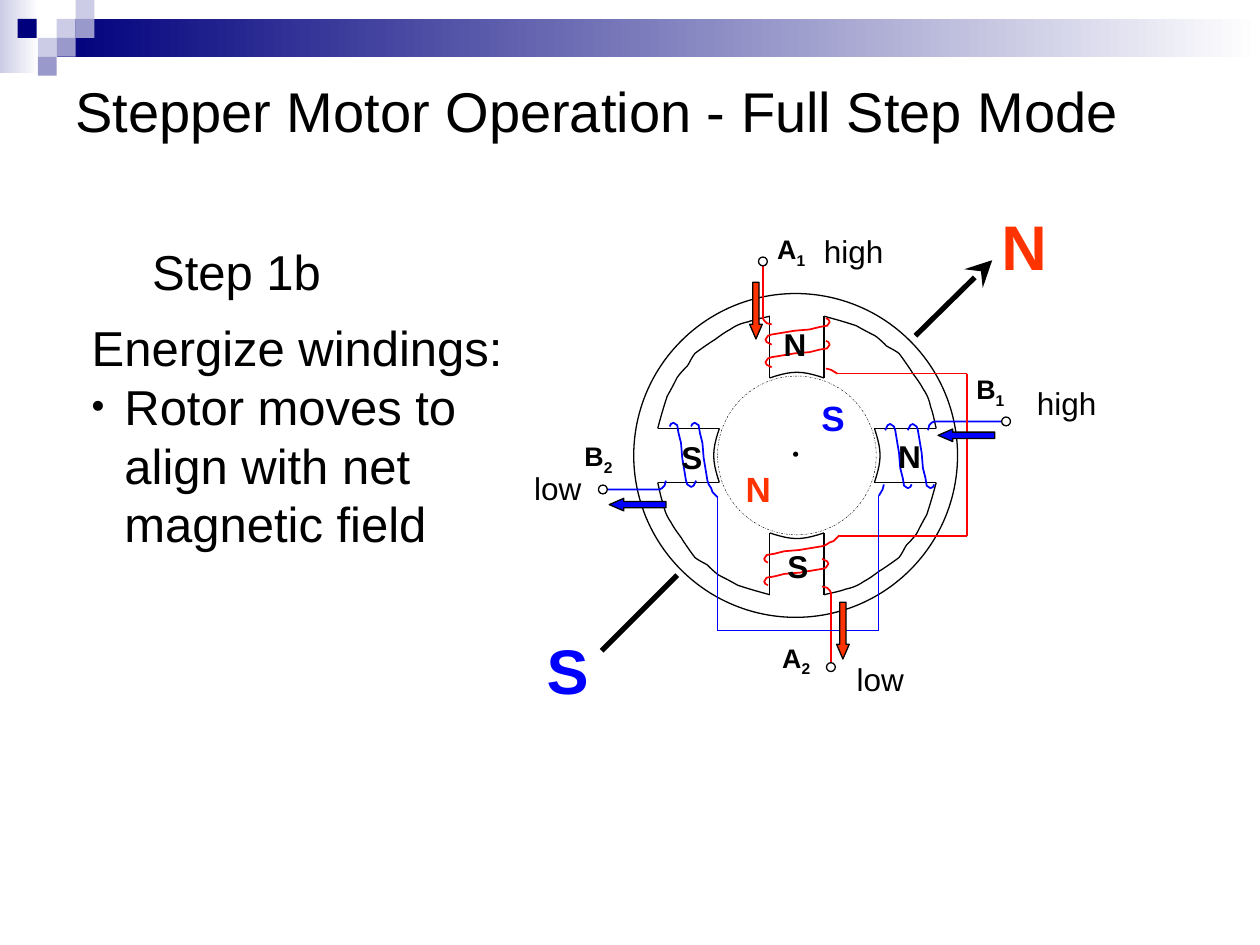
from pptx import Presentation
from pptx.dml.color import RGBColor
from pptx.enum.dml import MSO_LINE
from pptx.enum.shapes import MSO_CONNECTOR, MSO_SHAPE
from pptx.enum.text import MSO_ANCHOR, MSO_AUTO_SIZE
from pptx.oxml.ns import qn
from pptx.util import Inches, Pt
from lxml import etree

RECT, OVAL, DOWN = MSO_SHAPE.RECTANGLE, MSO_SHAPE.OVAL, MSO_SHAPE.DOWN_ARROW
STRAIGHT, DASH_DOT = MSO_CONNECTOR.STRAIGHT, MSO_LINE.DASH_DOT
MIDDLE, GROW = MSO_ANCHOR.MIDDLE, MSO_AUTO_SIZE.SHAPE_TO_FIT_TEXT

COLORS = {"black": "000000", "white": "FFFFFF", "navy": "00007D",
          "pale": "CCCCE6", "lilac": "9999CC", "blue": "0000FF",
          "red": "FF0000", "orange": "FF3300"}
COLS, ROWS = 1000, 750
CELL = Inches(10) / COLS

# Motor parts in cells from the motor centre, drawn for the top pole
HALF, OUTER, INNER = 21.5, 110.5, 61.5
POLE_FACE = [(-HALF, -INNER), (-14, -64), (-7, -66), (0, -66),
             (7, -66), (14, -64), (HALF, -INNER)]
WALL = [(HALF, -OUTER), (31, -108), (41, -105), (47, -103), (54, -99),
        (58, -97), (62, -95), (66, -92), (68, -90), (71, -87), (74, -85),
        (77, -84), (81, -81), (84, -77), (89, -70), (92, -65), (95, -61),
        (98, -57), (100, -53), (103, -49), (105, -44), (106, -39),
        (108, -34), (110, -23), (OUTER, -HALF)]
LOOP = [(0, 0), (-4, -2), (-5, -4), (-3, -7), (0, -8), (12, -10), (18, -11),
        (30, -12), (38, -14), (44, -15), (46, -18), (45, -20), (43, -21)]
LINKED_LOOP = [(-13, 0), (-9, -4), (-6, -5), (-3, -7)] + LOOP[4:]
LEAD_IN = [(-27, -109), (-26, -107), (-24, -105), (-20, -104)]
EXIT = [(23, -69), (27, -68), (32, -65)]
# Winding colour, depths of the two loops, terminal distance, for each
# quarter turn clockwise; the last two poles are fed by a link wire
POLES = [("red", (88, 70), 154), ("blue", (88, 70), 166),
         ("red", (82, 64), 168), ("blue", (80, 63), 154)]


def emu(cells):
    return round(cells * CELL)


def rgb(name):
    return RGBColor.from_string(COLORS[name])


def turn(points, quarters):
    for _ in range(quarters):
        points = [(-y, x) for x, y in points]
    return points


def shift(points, dx, dy):
    return [(x + dx, y + dy) for x, y in points]


def bezier(points, steps=5):
    """Sample a chain of cubic curves as a list of points."""
    out = [points[0]]
    for i in range(0, len(points) - 1, 3):
        for k in range(1, steps + 1):
            t = k / steps
            weights = ((1 - t) ** 3, 3 * t * (1 - t) ** 2,
                       3 * t * t * (1 - t), t ** 3)
            out.append(tuple(sum(w * p[axis] for w, p in
                                 zip(weights, points[i:i + 4]))
                             for axis in (0, 1)))
    return out


def add_shape(s, kind, box, fill=None, line=None, width=0.75):
    sp = s.shapes.add_shape(kind, *map(emu, box))
    sp.shadow.inherit = False
    if fill:
        sp.fill.solid()
        sp.fill.fore_color.rgb = rgb(fill)
    else:
        sp.fill.background()
    if line:
        sp.line.color.rgb = rgb(line)
        sp.line.width = Pt(width)
    else:
        sp.line.fill.background()
    return sp


def add_circle(s, x, y, size, **style):
    return add_shape(s, OVAL, (x - size / 2, y - size / 2, size, size), **style)


def add_line(s, start, end, color="black", width=0.75, head=None):
    cx = s.shapes.add_connector(STRAIGHT, *map(emu, start + end))
    cx.line.color.rgb = rgb(color)
    cx.line.width = Pt(width)
    if head:
        ln = cx.line._get_or_add_ln()
        etree.SubElement(ln, qn("a:tailEnd"), type=head, w="lg", len="lg")
    etree.SubElement(cx._element.spPr, qn("a:effectLst"))


def add_curve(s, points, color="black", width=0.75):
    pts = [(emu(x), emu(y)) for x, y in points]
    builder = s.shapes.build_freeform(*pts[0])
    builder.add_line_segments(pts[1:], close=False)
    sp = builder.convert_to_shape()
    sp.shadow.inherit = False
    sp.fill.background()
    sp.line.color.rgb = rgb(color)
    sp.line.width = Pt(width)


def add_text(s, box, text, size, color="black", bold=False, sub="", wrap=False):
    tb = s.shapes.add_textbox(*map(emu, box))
    tf = tb.text_frame
    tf.word_wrap = wrap
    if not wrap:
        tf.auto_size = GROW
    for i, line in enumerate(text.split("\n")):
        p = tf.paragraphs[0] if i == 0 else tf.add_paragraph()
        for part in filter(None, (line, sub)):
            r = p.add_run()
            r.text = part
            for key, value in {"name": "Arial", "size": Pt(size), "bold": bold}.items():
                setattr(r.font, key, value)
            r.font.color.rgb = rgb(color)
    if sub:
        r.font._element.set("baseline", "-25000")
    return tf


def header(s, unit=15):
    """Gradient bars and the checker of small squares."""
    for box, color in (((0, 0, 31, 58), "pale"),
                       ((45, 15, COLS - 45, 30), "navy")):
        fill = add_shape(s, RECT, box, "white").fill
        fill.gradient()
        fill.gradient_angle = 0
        for stop, name in zip(fill.gradient_stops, (color, "white")):
            stop.color.rgb = rgb(name)
    for col, row, color in ((3, 1, "pale"), (4, 0, "pale"), (4, 1, "lilac"),
                            (2, 2, "pale"), (1, 1, "navy"), (3, 2, "lilac"),
                            (2, 3, "lilac")):
        x = 14 if col == 1 else col * unit
        add_shape(s, RECT, (x, row * unit, unit, unit), color)


def stator(s, cx, cy):
    add_circle(s, cx - 1, cy, 257, fill="white", line="black")
    for q in range(4):
        for x in (-HALF, HALF):
            add_line(s, *shift(turn([(x, -OUTER), (x, -INNER)], q), cx, cy))
        for part in (POLE_FACE, WALL):
            add_curve(s, shift(turn(bezier(part), q), cx, cy))


def windings(s, cx, cy):
    for q, (color, depths, reach) in enumerate(POLES):
        linked = q > 1
        wires = [shift(LOOP, -20, -depths[0]),
                 shift(LINKED_LOOP if linked else LOOP, -20, -depths[1]),
                 [(-27, -reach)] + LEAD_IN]
        if not linked:
            wires.append(EXIT)
        for wire in wires:
            add_curve(s, shift(turn(wire, q), cx, cy), color, 1)
    for color, link in (("red", [(32, -65), (135, -65), (135, 64), (33, 64)]),
                        ("blue", [(65, 32), (65, 139), (-63, 139), (-63, 33)])):
        link = shift(link, cx, cy)
        for start, end in zip(link, link[1:]):
            add_line(s, start, end, color)
    for q, (_, _, reach) in enumerate(POLES):
        (x, y), = shift(turn([(-27, -reach)], q), cx, cy)
        add_circle(s, x, y, 7, fill="white", line="black")


def rotor(s, cx, cy):
    add_line(s, (cx + 94, cy - 95), (cx + 155, cy - 155), width=3, head="stealth")
    add_line(s, (cx - 155, cy + 155), (cx - 95, cy + 95), width=3)
    add_circle(s, cx - 1, cy - 1, 3, fill="black", line="black")
    ring = add_circle(s, cx, cy, 126, line="black", width=0.25)
    ring.line.dash_style = DASH_DOT


def labels(s):
    for x, y, name, sub in ((607, 180, "A", "1"), (765, 291, "B", "1"),
                            (611, 504, "A", "2"), (454, 344, "B", "2")):
        add_text(s, (x, y, 58, 41), name, 15.3, bold=True, sub=sub, wrap=True)
    for x, y, name in ((612, 253, "N"), (615, 429, "S"),
                       (703, 342, "N"), (531, 343, "S")):
        add_text(s, (x, y, 58, 41), name, 18, bold=True, wrap=True)
    for x, y, level in ((670, 519, "low"), (644, 179, "high"),
                        (414, 367, "low"), (813, 300, "high")):
        add_text(s, (x, y, 60 if level == "low" else 68, 40), level, 18)
    for box, name, size, color in (((785, 160, 56, 70), "N", 36, "orange"),
                                   ((424, 496, 53, 70), "S", 36, "blue"),
                                   ((582, 366, 40, 44), "N", 20, "orange"),
                                   ((642, 310, 38, 44), "S", 20, "blue")):
        add_text(s, box, name, size, color, bold=True)


def current_arrows(s):
    for x, y, color, angle in ((595, 224, "orange", 0), (664, 478, "orange", 0),
                               (762, 323, "blue", 90), (501, 378, "blue", 90)):
        sp = add_shape(s, DOWN, (x, y, 10, 45), color, "black")
        sp.adjustments[1] = 1.16
        sp.rotation = angle


def explanation(s):
    add_text(s, (111, 187, 154, 57), "Step 1b", 28)
    tf = add_text(s, (63, 247, 347, 197), "Energize windings:\n"
                  "Rotor moves to align with net magnetic field", 28, wrap=True)
    pPr = tf.paragraphs[1]._p.get_or_add_pPr()
    pPr.set("marL", str(emu(26)))
    pPr.set("indent", str(-emu(26)))
    etree.SubElement(pPr, qn("a:buSzPct"), val="75000")
    etree.SubElement(pPr, qn("a:buFont"), typeface="Arial")
    etree.SubElement(pPr, qn("a:buChar"), char="•")


def main():
    prs = Presentation()
    prs.slide_width, prs.slide_height = emu(COLS), emu(ROWS)
    s = prs.slides.add_slide(prs.slide_layouts[6])
    header(s)
    for part in (stator, windings, rotor):
        part(s, 632.5, 361.5)
    labels(s)
    tf = add_text(s, (50, 50, 900, 75), "Stepper Motor Operation - Full Step Mode",
                  32, wrap=True)
    tf.vertical_anchor = MIDDLE
    current_arrows(s)
    explanation(s)
    prs.save("out.pptx")


if __name__ == "__main__":
    main()
